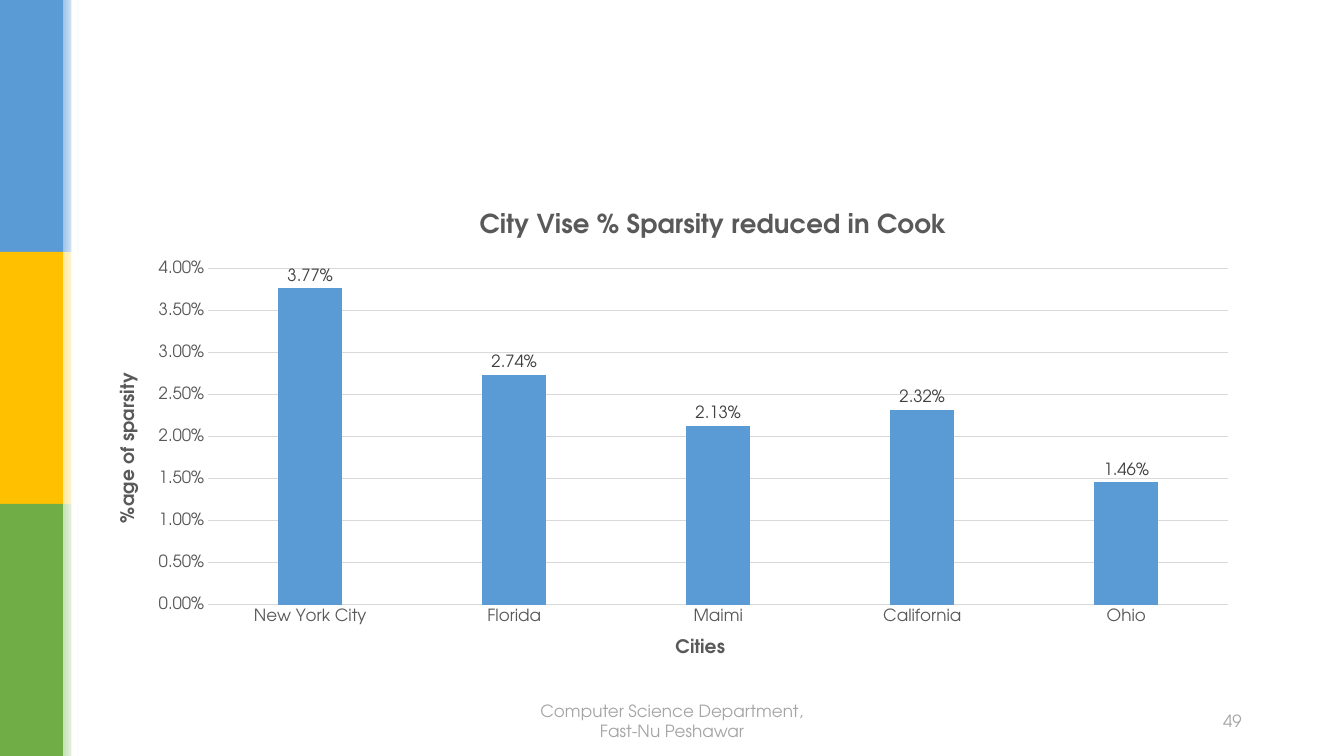
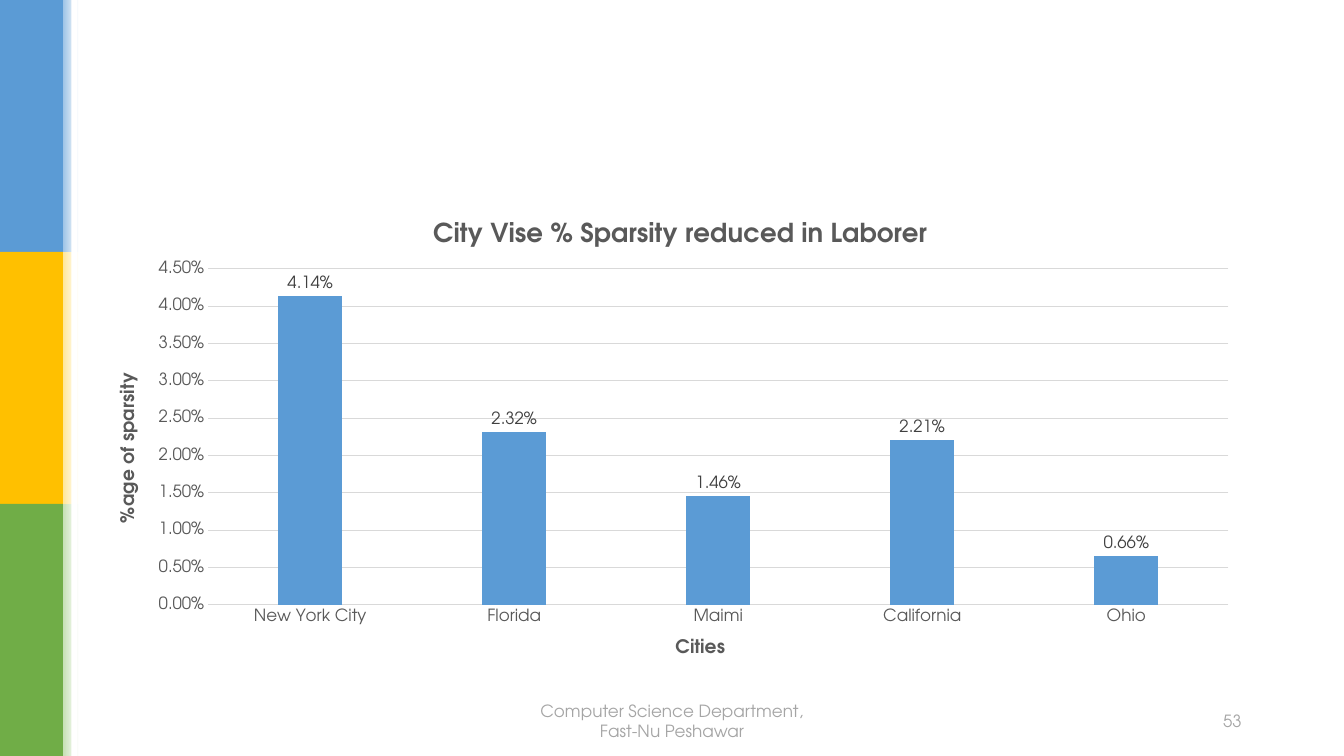
from lxml import etree
from pptx import Presentation
from pptx.chart.data import CategoryChartData
from pptx.dml.color import RGBColor
from pptx.enum.chart import XL_CHART_TYPE, XL_LABEL_POSITION, XL_TICK_MARK
from pptx.enum.shapes import MSO_SHAPE
from pptx.enum.text import MSO_ANCHOR, PP_ALIGN
from pptx.oxml.ns import qn
from pptx.util import Pt

FONT = "TeX Gyre Adventor"
WHITE, BLUE = "FFFFFF", "5B9BD5"
DARK, INK, GRAY, RULE = "404040", "595959", "A5A5A5", "D9D9D9"
BANDS = [(BLUE, "9DC3E6"), ("FFC000", "FFE699"), ("70AD47", "C5E0B4")]
WIDTH, HEIGHT = 960, 540
PERCENT = "0.00%"
CITIES = ["New York City", "Florida", "Maimi", "California", "Ohio"]
FOOTER = "Computer Science Department, Fast-Nu Peshawar"


def color(code):
    return RGBColor.from_string(code)


def style(font, size, code, bold=False):
    font.name = FONT
    font.size = Pt(size)
    font.bold = bold
    font.color.rgb = color(code)


def layout(**places):
    """Build a manual chart layout from fractions of the chart area."""
    outer = etree.Element(qn("c:layout"))
    manual = etree.SubElement(outer, qn("c:manualLayout"))
    if "w" in places:
        etree.SubElement(manual, qn("c:layoutTarget")).set("val", "inner")
    for axis in "xy":
        etree.SubElement(manual, qn(f"c:{axis}Mode")).set("val", "edge")
    for key, value in places.items():
        etree.SubElement(manual, qn(f"c:{key}")).set("val", str(value))
    return outer


def drop_layout(parent):
    for old in parent.findall(qn("c:layout")):
        parent.remove(old)


class Deck:
    def __init__(self):
        self.show = Presentation()
        self.show.slide_width = Pt(WIDTH)
        self.show.slide_height = Pt(HEIGHT)
        self.slide = None

    def start(self, number):
        """Add a slide with its side bands, footer and number."""
        self.slide = self.show.slides.add_slide(self.show.slide_layouts[6])
        step = HEIGHT / len(BANDS)
        for row, (solid, pale) in enumerate(BANDS):
            self.rect(0, row * step, 45, step, solid)
            self.rect(45, row * step, 11.5, step, pale, fade=True)
        self.rect(51, 0, 4, HEIGHT, WHITE)
        self.note(366, 228, FOOTER, PP_ALIGN.CENTER)
        self.note(636, 258, str(number), PP_ALIGN.RIGHT)

    def rect(self, left, top, width, height, code, fade=False):
        shape = self.slide.shapes.add_shape(
            MSO_SHAPE.RECTANGLE, Pt(left), Pt(top), Pt(width), Pt(height))
        shape.shadow.inherit = False
        shape.line.fill.background()
        if fade:
            shape.fill.gradient()
            shape.fill.gradient_angle = 0
            for stop, shade in zip(shape.fill.gradient_stops, (code, WHITE)):
                stop.color.rgb = color(shade)
        else:
            shape.fill.solid()
            shape.fill.fore_color.rgb = color(code)

    def note(self, left, width, text, align):
        """Put small gray text on the footer line."""
        box = self.slide.shapes.add_textbox(Pt(left), Pt(500.5), Pt(width), Pt(29))
        frame = box.text_frame
        frame.word_wrap = True
        frame.vertical_anchor = MSO_ANCHOR.MIDDLE
        para = frame.paragraphs[0]
        para.text = text
        para.alignment = align
        style(para.font, 12, GRAY)

    def title(self, owner, text, size, x, y, turn=False):
        """Title a chart or an axis, with its corner at x, y."""
        owner.has_title = True
        title = owner.chart_title if hasattr(owner, "chart_title") else owner.axis_title
        frame = title.text_frame
        para = frame.paragraphs[0]
        para.text = text
        style(para.font, size, INK, bold=True)
        if turn:
            body = frame._txBody.find(qn("a:bodyPr"))
            body.set("rot", "-5400000")
            body.set("vert", "horz")
        node = title._element
        drop_layout(node)
        node.find(qn("c:tx")).addnext(layout(x=x, y=y))

    def chart(self, heading, x, y, values, top):
        data = CategoryChartData(number_format=PERCENT)
        data.categories = CITIES
        data.add_series("Series 1", values)
        chart = self.slide.shapes.add_chart(
            XL_CHART_TYPE.COLUMN_CLUSTERED,
            Pt(66), Pt(144), Pt(828), Pt(343), data).chart
        style(chart.font, 10, "000000")
        chart.has_legend = False
        self.title(chart, heading, 18.6, x, y)
        self.axes(chart, top)
        self.bars(chart.plots[0])
        area = chart._chartSpace.chart.plotArea
        drop_layout(area)
        area.insert(0, layout(x=0.1, y=0.14, w=0.88, h=0.7))

    def axes(self, chart, top):
        cat, val = chart.category_axis, chart.value_axis
        for axis in (cat, val):
            axis.major_tick_mark = axis.minor_tick_mark = XL_TICK_MARK.NONE
            style(axis.tick_labels.font, 12, INK)
        self.title(cat, "Cities", 13.3, 0.5, 0.9)
        self.title(val, "%age of sparsity", 13.3, 0.02, 0.35, turn=True)
        val.minimum_scale, val.maximum_scale, val.major_unit = 0, top, 0.005
        val.tick_labels.number_format = PERCENT
        val.tick_labels.number_format_is_linked = False
        val.format.line.fill.background()
        val.has_major_gridlines = True
        for line in (cat.format.line, val.major_gridlines.format.line):
            line.color.rgb = color(RULE)
            line.width = Pt(0.75)

    def bars(self, plot):
        plot.gap_width, plot.overlap = 219, -27
        plot.vary_by_categories = False
        series = plot.series[0]
        series.format.fill.solid()
        series.format.fill.fore_color.rgb = color(BLUE)
        labels = series.data_labels
        labels.show_value = True
        labels.position = XL_LABEL_POSITION.OUTSIDE_END
        labels.number_format = PERCENT
        labels.number_format_is_linked = False
        style(labels.font, 12, DARK)


def main():
    deck = Deck()
    deck.start(49)
    deck.chart("City Vise % Sparsity reduced in Cook", 0.33, 0.01,
               (0.0377, 0.0274, 0.0213, 0.0232, 0.0146), 0.04)
    deck.start(53)
    deck.chart("City Vise % Sparsity reduced in Laborer", 0.29, 0.03,
               (0.0414, 0.0232, 0.0146, 0.0221, 0.0066), 0.045)
    deck.show.save("out.pptx")


if __name__ == "__main__":
    main()
